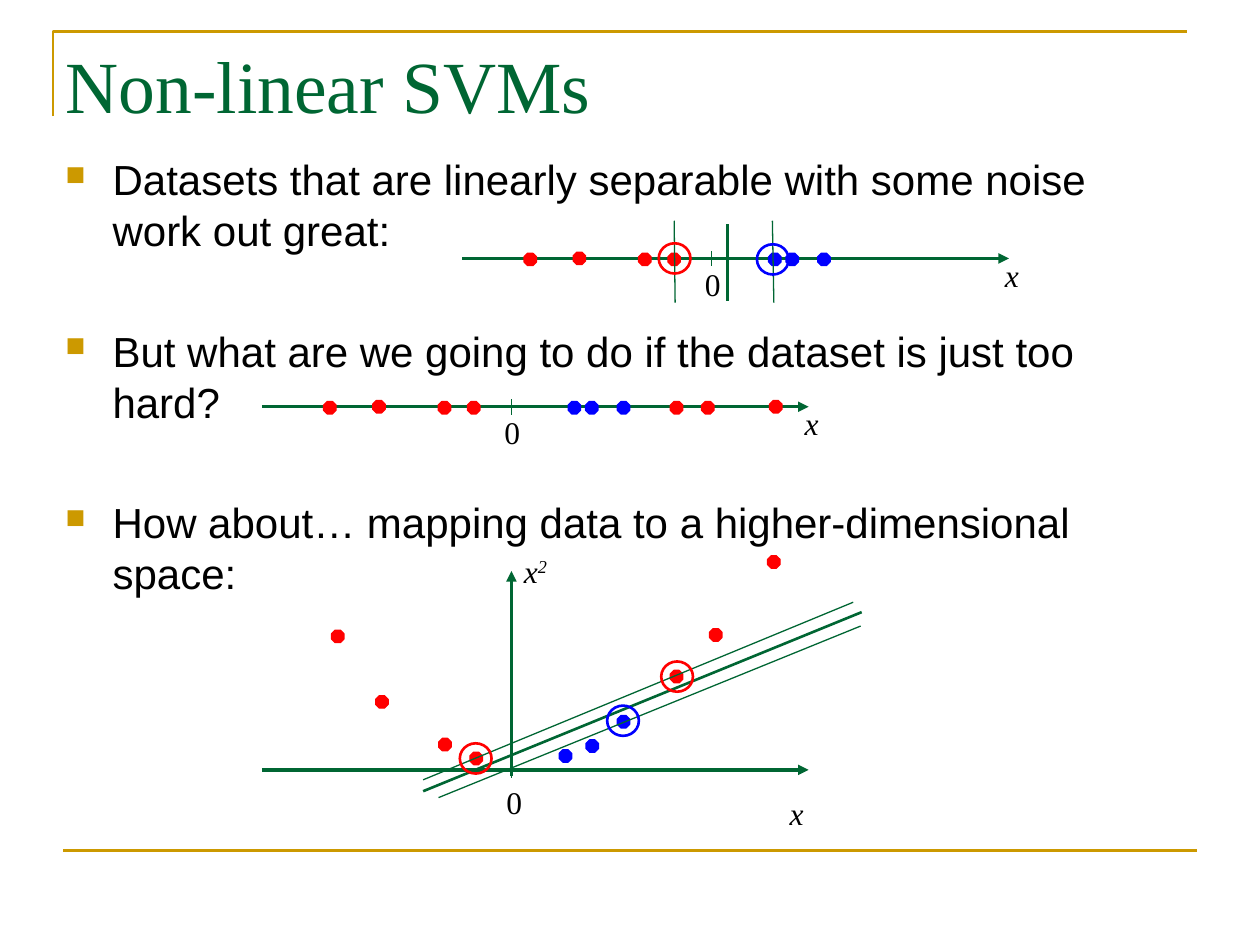
from dataclasses import dataclass

from lxml import etree
from pptx import Presentation
from pptx import util as u
from pptx.dml.color import RGBColor
from pptx.enum import shapes, text
from pptx.oxml import ns

GREEN, GOLD, RED, BLUE, BLACK = "006633", "CC9900", "FF0000", "0000FF", "000000"
SERIF, SANS = "Times New Roman", "Arial"
DOT = 0.25
AXIS_LENGTH, ZERO_OFFSET = 11.02, 5.03


@dataclass
class Dot:
    x: float
    y: float
    color: str


@dataclass
class Ring:
    x: float
    y: float
    color: str


@dataclass
class Line:
    x1: float
    y1: float
    x2: float
    y2: float
    width: float = 0.75
    color: str = GREEN
    arrow: bool = False


@dataclass
class Label:
    content: str
    x: float
    y: float
    italic: bool = False
    exponent: str = ""


NUMBER_LINE = [
    Dot(1.37, 0.02, RED), Dot(2.36, 0, RED), Dot(3.68, 0.02, RED), Dot(4.27, 0.02, RED),
    Dot(6.3, 0.02, BLUE), Dot(6.65, 0.02, BLUE), Dot(7.29, 0.02, BLUE),
    Dot(8.36, 0.02, RED), Dot(8.99, 0.02, RED), Dot(10.36, 0, RED),
]
SEPARABLE = NUMBER_LINE[:7]

MAPPED = [
    Dot(6.81, 12.83, RED), Dot(7.7, 14.15, RED), Dot(8.97, 15.01, RED), Dot(9.6, 15.29, RED),
    Dot(11.4, 15.24, BLUE), Dot(11.94, 15.04, BLUE), Dot(12.57, 14.55, BLUE),
    Dot(13.64, 13.64, RED), Dot(14.43, 12.8, RED), Dot(15.6, 11.33, RED),
]

SEPARABLE_MARGIN = [
    Line(14.66, 4.52, 14.66, 6.07, 1.5),
    Line(15.6, 6.1, 15.57, 4.45),
    Line(13.61, 6.1, 13.59, 4.45),
]
SEPARABLE_SUPPORT = [Ring(15.58, 5.23, BLUE), Ring(13.6, 5.21, RED)]

MAPPED_MARGIN = [
    Line(8.53, 15.95, 17.37, 12.34, 1.5),
    Line(8.53, 15.72, 17.2, 12.14),
    Line(8.84, 16.08, 17.35, 12.62),
]
MAPPED_SUPPORT = [Ring(13.65, 13.64, RED), Ring(12.56, 14.53, BLUE), Ring(9.59, 15.29, RED)]

STATEMENTS = [
    "Datasets that are linearly separable with some noise work out great:",
    "But what are we going to do if the dataset is just too hard?",
    "How about… mapping data to a higher-dimensional space:",
]


def rgb(color: str) -> RGBColor:
    return RGBColor.from_string(color)


def add_text(paragraph, content: str, *, size=18, font=SERIF, color=BLACK,
             italic=False, superscript=False):
    run = paragraph.add_run()
    run.text = content
    run.font.size = u.Pt(size)
    run.font.name = font
    run.font.italic = italic
    run.font.color.rgb = rgb(color)
    if superscript:
        run.font._element.set("baseline", "30000")


def place(shape, left: float, top: float, width: float, height: float):
    shape.left, shape.top = u.Cm(left), u.Cm(top)
    shape.width, shape.height = u.Cm(width), u.Cm(height)


def add_label(slide, label: Label):
    box = slide.shapes.add_textbox(u.Cm(label.x), u.Cm(label.y), u.Cm(1.27), u.Cm(1.02))
    box.text_frame.word_wrap = True
    paragraph = box.text_frame.paragraphs[0]
    add_text(paragraph, label.content, italic=label.italic)
    if label.exponent:
        add_text(paragraph, label.exponent, italic=label.italic, superscript=True)


def add_line(slide, line: Line):
    connector = slide.shapes.add_connector(
        shapes.MSO_CONNECTOR.STRAIGHT,
        u.Cm(line.x1), u.Cm(line.y1), u.Cm(line.x2), u.Cm(line.y2))
    connector.line.width = u.Pt(line.width)
    connector.line.color.rgb = rgb(line.color)
    if line.arrow:
        etree.SubElement(connector.line._get_or_add_ln(), ns.qn("a:tailEnd"), type="triangle")
    etree.SubElement(connector._element.spPr, ns.qn("a:effectLst"))


def add_marker(slide, kind, x: float, y: float, width: float, height: float, color: str, weight: float):
    shape = slide.shapes.add_shape(
        kind, u.Cm(x - width / 2), u.Cm(y - height / 2), u.Cm(width), u.Cm(height))
    shape.shadow.inherit = False
    shape.line.color.rgb = rgb(color)
    shape.line.width = u.Pt(weight)
    return shape


def add_dot(slide, dot: Dot, x: float = 0, y: float = 0):
    shape = add_marker(slide, shapes.MSO_SHAPE.OCTAGON, x + dot.x, y + dot.y, DOT, DOT, dot.color, 0.75)
    shape.fill.solid()
    shape.fill.fore_color.rgb = rgb(dot.color)


def add_ring(slide, ring: Ring):
    shape = add_marker(slide, shapes.MSO_SHAPE.OVAL, ring.x, ring.y, 0.64, 0.61, ring.color, 1.5)
    shape.fill.background()


def add_axis(slide, x: float, y: float):
    zero = x + ZERO_OFFSET
    add_line(slide, Line(x, y, x + AXIS_LENGTH, y, 2, arrow=True))
    add_line(slide, Line(zero, y - 0.15, zero, y + 0.16))


def add_number_line(slide, x: float, y: float, dots: list[Dot]):
    add_axis(slide, x, y)
    for dot in dots:
        add_dot(slide, dot, x, y)
    add_label(slide, Label("0", x + 4.64, y))
    add_label(slide, Label("x", x + 10.69, y - 0.18, italic=True))


def add_margin(slide, lines: list[Line], rings: list[Ring]):
    for line in lines:
        add_line(slide, line)
    for ring in rings:
        add_ring(slide, ring)


def add_frame(slide):
    builder = slide.shapes.build_freeform(u.Cm(1.07), u.Cm(2.34))
    builder.add_line_segments(
        [(u.Cm(1.07), u.Cm(0.64)), (u.Cm(23.93), u.Cm(0.64))], close=False)
    corner = builder.convert_to_shape()
    corner.shadow.inherit = False
    corner.fill.background()
    corner.line.color.rgb = rgb(GOLD)
    corner.line.width = u.Pt(1.5)
    add_line(slide, Line(1.27, 17.15, 24.13, 17.15, 1.5, GOLD))


def add_title(slide):
    title = slide.shapes.title
    place(title, 1.07, 0.64, 13.34, 2.11)
    frame = title.text_frame
    frame.auto_size = text.MSO_AUTO_SIZE.NONE
    frame.vertical_anchor = text.MSO_ANCHOR.MIDDLE
    frame.paragraphs[0].alignment = text.PP_ALIGN.LEFT
    add_text(frame.paragraphs[0], "Non-linear SVMs", size=42, color=GREEN)


def add_bullet(paragraph):
    properties = paragraph._p.get_or_add_pPr()
    properties.set("marL", str(u.Cm(0.95)))
    properties.set("indent", str(-u.Cm(0.95)))
    color = etree.SubElement(properties, ns.qn("a:buClr"))
    etree.SubElement(color, ns.qn("a:srgbClr"), val=GOLD)
    etree.SubElement(properties, ns.qn("a:buSzPct"), val="65000")
    etree.SubElement(properties, ns.qn("a:buChar"), char="■")


def add_statements(slide):
    box = slide.shapes.add_textbox(u.Cm(1.07), u.Cm(2.97), u.Cm(22.86), u.Cm(13.97))
    frame = box.text_frame
    frame.word_wrap = True
    for index, statement in enumerate(STATEMENTS):
        paragraph = frame.add_paragraph() if index else frame.paragraphs[0]
        add_bullet(paragraph)
        paragraph.line_spacing = u.Pt(29)
        paragraph.space_before = u.Pt(40 if index else 0)
        add_text(paragraph, statement, size=24, font=SANS)


def add_mapped_plot(slide):
    add_axis(slide, 5.28, 15.52)
    for dot in MAPPED:
        add_dot(slide, dot)
    add_line(slide, Line(10.31, 15.65, 10.31, 11.51, 2, arrow=True))
    for label in (Label("0", 9.96, 15.67), Label("x", 15.67, 15.88, True), Label("x", 10.31, 11, True, "2")):
        add_label(slide, label)
    add_margin(slide, MAPPED_MARGIN, MAPPED_SUPPORT)


def main():
    presentation = Presentation()
    presentation.slide_width, presentation.slide_height = u.Cm(25.4), u.Cm(19.05)
    slide = presentation.slides.add_slide(presentation.slide_layouts[5])
    add_frame(slide)
    add_title(slide)
    add_statements(slide)
    add_number_line(slide, 5.28, 8.2, NUMBER_LINE)
    add_number_line(slide, 9.32, 5.21, SEPARABLE)
    add_margin(slide, SEPARABLE_MARGIN, SEPARABLE_SUPPORT)
    add_mapped_plot(slide)
    presentation.save("out.pptx")


if __name__ == "__main__":
    main()
